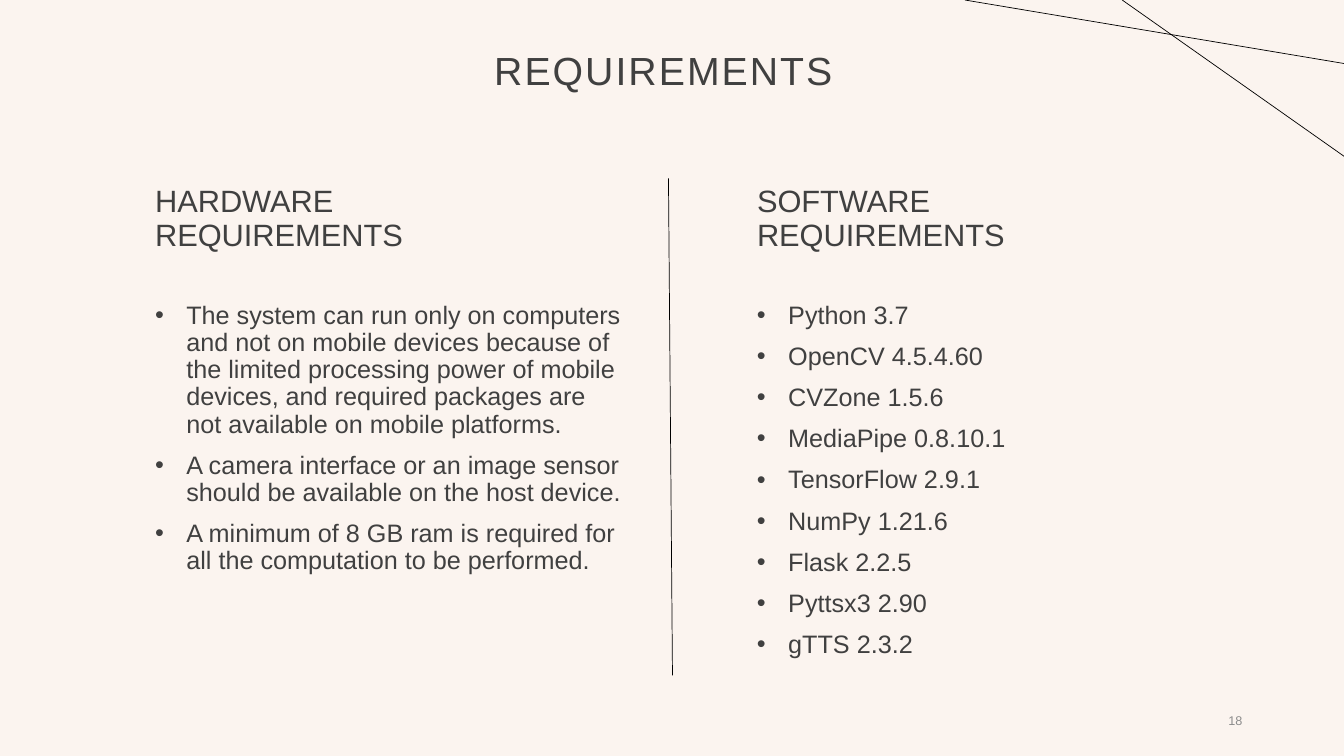
from lxml import etree
from pptx import Presentation
from pptx.dml.color import RGBColor
from pptx.enum import shapes, text
from pptx.oxml import ns
from pptx.util import Inches, Pt

TITLE = "REQUIREMENTS"
PAGE_NUMBER = "18"
# left edge, list width, list height, heading, list items
COLUMNS = [
    (1.44, 4.84, 3.92, "HARDWARE REQUIREMENTS", [
        "The system can run only on computers and not on mobile devices because of "
        "the limited processing power of mobile devices, and required packages are "
        "not available on mobile platforms.",
        "A camera interface or an image sensor should be available on the host device.",
        "A minimum of 8 GB ram is required for all the computation to be performed.",
    ]),
    (7.41, 3.17, 3.37, "SOFTWARE REQUIREMENTS", [
        "Python 3.7", "OpenCV 4.5.4.60", "CVZone 1.5.6", "MediaPipe 0.8.10.1",
        "TensorFlow 2.9.1", "NumPy 1.21.6", "Flask 2.2.5", "Pyttsx3 2.90", "gTTS 2.3.2",
    ]),
]
# x and y of both ends: column divider, then the corner lines
LINES = [
    (6.63, 1.77, 6.67, 6.7),
    (11.13, 0, 13.33, 1.55),
    (9.57, 0, 13.33, 0.63),
]
FONT = "Arial"
BACKGROUND, INK, MUTED, LINE = "FBF4EF", "404040", "8C8C8C", "000000"
HEADING_TOP, LIST_TOP, INDENT = 1.8, 2.95, 0.31


def color(value):
    return RGBColor.from_string(value)


def add_bullet(paragraph):
    props = paragraph._p.get_or_add_pPr()
    props.set("marL", str(Inches(INDENT)))
    props.set("indent", str(-Inches(INDENT)))
    etree.SubElement(props, ns.qn("a:buFont")).set("typeface", FONT)
    etree.SubElement(props, ns.qn("a:buChar")).set("char", "•")


def add_text(slide, box, lines, size, ink=INK, align=text.PP_ALIGN.LEFT,
             anchor=text.MSO_ANCHOR.TOP, spacing=0.9, bullets=False):
    frame = slide.shapes.add_textbox(*map(Inches, box)).text_frame
    frame.word_wrap = True
    frame.vertical_anchor = anchor
    for i, line in enumerate(lines):
        paragraph = frame.paragraphs[0] if i == 0 else frame.add_paragraph()
        if bullets:
            add_bullet(paragraph)
        paragraph.alignment = align
        paragraph.line_spacing = spacing
        paragraph.space_before = Pt(10 if i else 0)
        run = paragraph.add_run()
        run.text = line
        run.font.name = FONT
        run.font.size = Pt(size)
        run.font.color.rgb = color(ink)
    return frame


def add_line(slide, ends):
    line = slide.shapes.add_connector(shapes.MSO_CONNECTOR.STRAIGHT, *map(Inches, ends))
    line.line.color.rgb = color(LINE)
    line.line.width = Pt(0.5)
    etree.SubElement(line._element.spPr, ns.qn("a:effectLst"))


def main():
    deck = Presentation()
    deck.slide_width, deck.slide_height = Inches(13.33), Inches(7.5)
    slide = deck.slides.add_slide(deck.slide_layouts[6])
    slide.background.fill.solid()
    slide.background.fill.fore_color.rgb = color(BACKGROUND)

    # Title with wide letter spacing
    title = add_text(slide, (0.88, 0, 11.5, 1.45), [TITLE], 28,
                     align=text.PP_ALIGN.CENTER, anchor=text.MSO_ANCHOR.MIDDLE)
    title.margin_left = 0
    title.paragraphs[0].runs[0].font._element.set("spc", "150")

    # Requirement columns
    for left, width, height, heading, items in COLUMNS:
        add_text(slide, (left, HEADING_TOP, 3.15, 0.9), [heading], 22)
        add_text(slide, (left, LIST_TOP, width, height), items, 18, bullets=True)

    # Divider and corner lines
    for ends in LINES:
        add_line(slide, ends)

    # Page number
    add_text(slide, (9.42, 6.95, 3, 0.4), [PAGE_NUMBER], 9, MUTED,
             text.PP_ALIGN.RIGHT, text.MSO_ANCHOR.MIDDLE, spacing=1.0)

    deck.save("out.pptx")


if __name__ == "__main__":
    main()
